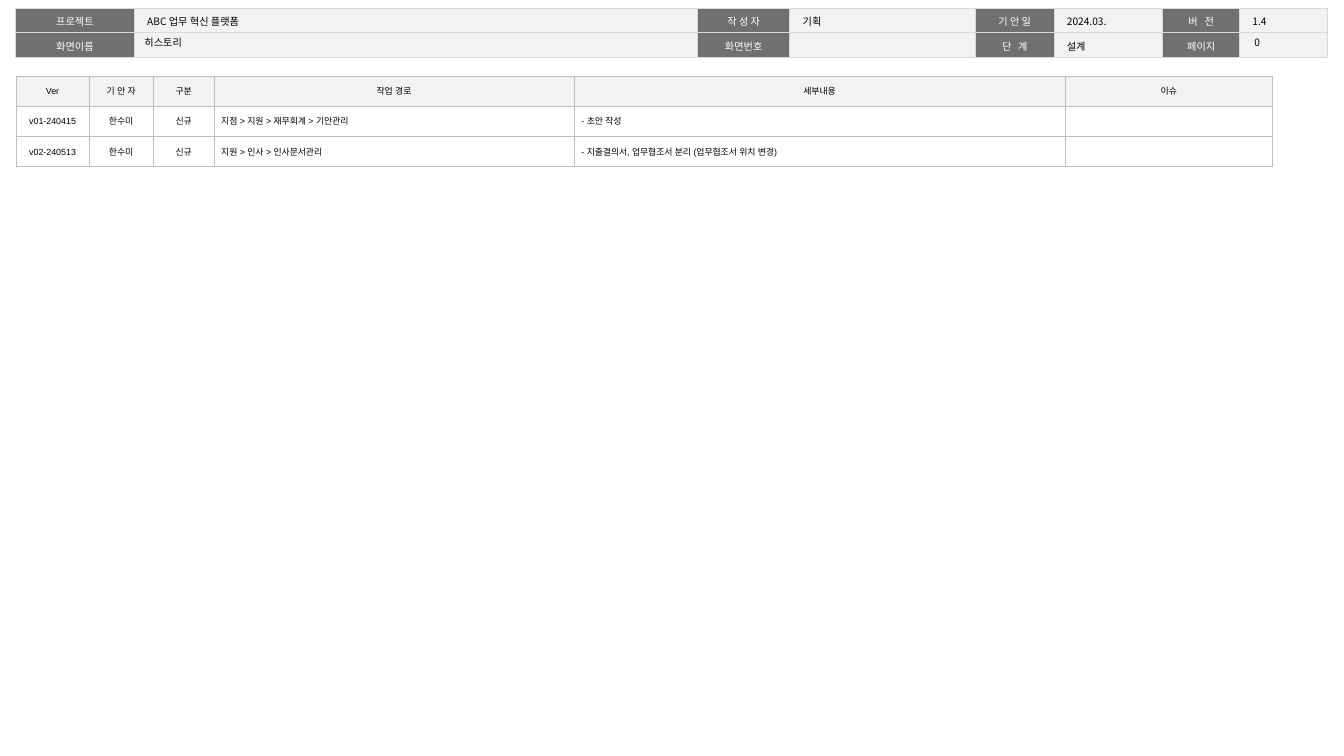
from lxml.etree import SubElement
from pptx import Presentation
from pptx.dml.color import RGBColor as RGB
from pptx.enum.text import MSO_ANCHOR as ANCHOR, PP_ALIGN as ALIGN
from pptx.oxml.ns import qn
from pptx.util import Pt

PX = 9144  # 100 px to the inch
COLORS = {
    "text": "000000",
    "label": "707070",
    "label_text": "FFFFFF",
    "pale": "F2F2F2",
    "white": "FFFFFF",
    "header_line": "D9D9D9",
    "history_line": "BFBFBF",
}
SANS, ARIAL = "Noto Sans CJK KR", "Arial"

HEADER_COLS = [130, 616, 101, 203, 86, 119, 84, 96]
HEADER_ROWS = [
    ["프로젝트", "ABC 업무 혁신 플랫폼", "작 성 자", "기획", "기 안 일", "2024.03.", "버 전", "1.4"],
    ["화면이름", "", "화면번호", "", "단 계", "설계", "페이지", ""],
]
SPREAD_LABELS = {"버 전", "단 계"}

HISTORY_COLS = [79, 71, 66, 394, 537, 227]
HISTORY_ROWS = [
    ["Ver", "기 안 자", "구분", "작업 경로", "세부내용", "이슈"],
    ["v01-240415", "한수미", "신규", "지점 > 지원 > 재무회계 > 기안관리", "- 초안 작성", ""],
    ["v02-240513", "한수미", "신규", "지원 > 인사 > 인사문서관리",
     "- 지출결의서, 업무협조서 분리 (업무협조서 위치 변경)", ""],
]


def px(n):
    return n * PX


def rgb(name):
    return RGB.from_string(COLORS[name])


def write(tf, text, size=8, font=SANS, color="text", align=ALIGN.LEFT, spacing=1, tracking=0):
    p = tf.paragraphs[0]
    p.alignment, p.line_spacing = align, spacing
    if not text:  # keep an empty cell as low as its row
        SubElement(p._p, qn("a:endParaRPr"), sz=str(size * 100))
        return
    r = p.add_run()
    r.text = text
    r.font.size, r.font.name = Pt(size), font
    r.font.color.rgb = rgb(color)
    SubElement(r._r.get_or_add_rPr(), qn("a:ea"), typeface=font)
    if tracking:
        r._r.get_or_add_rPr().set("spc", str(tracking))


def set_margins(box, left, top, right, bottom):
    box.margin_left, box.margin_top = px(left), px(top)
    box.margin_right, box.margin_bottom = px(right), px(bottom)


def add_text(s, text, x, y, w, h, inset):
    tf = s.shapes.add_textbox(px(x), px(y), px(w), px(h)).text_frame
    tf.word_wrap = True
    tf.vertical_anchor = ANCHOR.MIDDLE
    set_margins(tf, inset, 5, inset, 5)
    write(tf, text)


def set_borders(cell, color, width):
    tc_pr = cell._tc.get_or_add_tcPr()
    for side in ("lnL", "lnR", "lnT", "lnB"):
        ln = SubElement(tc_pr, qn(f"a:{side}"), w=str(Pt(width)))
        fill = SubElement(ln, qn("a:solidFill"))
        SubElement(fill, qn("a:srgbClr"), val=COLORS[color])


def add_grid(s, x, y, cols, row_h, rows, line, line_w, margins, anchor, style):
    """Draw a table; style(row, col, text) gives a fill and the text format."""
    frame = s.shapes.add_table(len(rows), len(cols), px(x), px(y),
                               px(sum(cols)), px(row_h * len(rows)))
    table = frame.table
    table.first_row = table.horz_banding = False
    for col, width in zip(table.columns, cols):
        col.width = px(width)
    for i, row in enumerate(rows):
        table.rows[i].height = px(row_h)
        for j, text in enumerate(row):
            cell = table.cell(i, j)
            fill, text_format = style(i, j, text)
            set_borders(cell, line, line_w)
            cell.fill.solid()
            cell.fill.fore_color.rgb = rgb(fill)
            cell.vertical_anchor = anchor
            set_margins(cell, *margins)
            write(cell.text_frame, text, **text_format)


def header_style(i, j, text):
    if j % 2:
        return "pale", dict(spacing=1.05)
    tracking = 180 if text in SPREAD_LABELS else 0
    return "label", dict(color="label_text", align=ALIGN.CENTER, spacing=1.05, tracking=tracking)


def history_style(i, j, text):
    align = ALIGN.LEFT if i and j > 2 else ALIGN.CENTER
    return "white" if i else "pale", dict(size=7, font=ARIAL, align=align, spacing=1.5)


def main():
    prs = Presentation()
    prs.slide_width, prs.slide_height = px(1470), px(827)
    s = prs.slides.add_slide(prs.slide_layouts[6])

    # Document header
    add_grid(s, 17, 9, HEADER_COLS, 27, HEADER_ROWS, "header_line", 1,
             (14, 5, 14, 5), ANCHOR.TOP, header_style)

    # Page number and screen name
    add_text(s, "0", 1362, 38, 72, 16, 10)
    add_text(s, "히스토리", 147, 38, 542, 16, 11)

    # Version history
    add_grid(s, 18, 83, HISTORY_COLS, 33, HISTORY_ROWS, "history_line", 0.25,
             (8, 4, 8, 8), ANCHOR.MIDDLE, history_style)

    prs.save("out.pptx")


if __name__ == "__main__":
    main()
